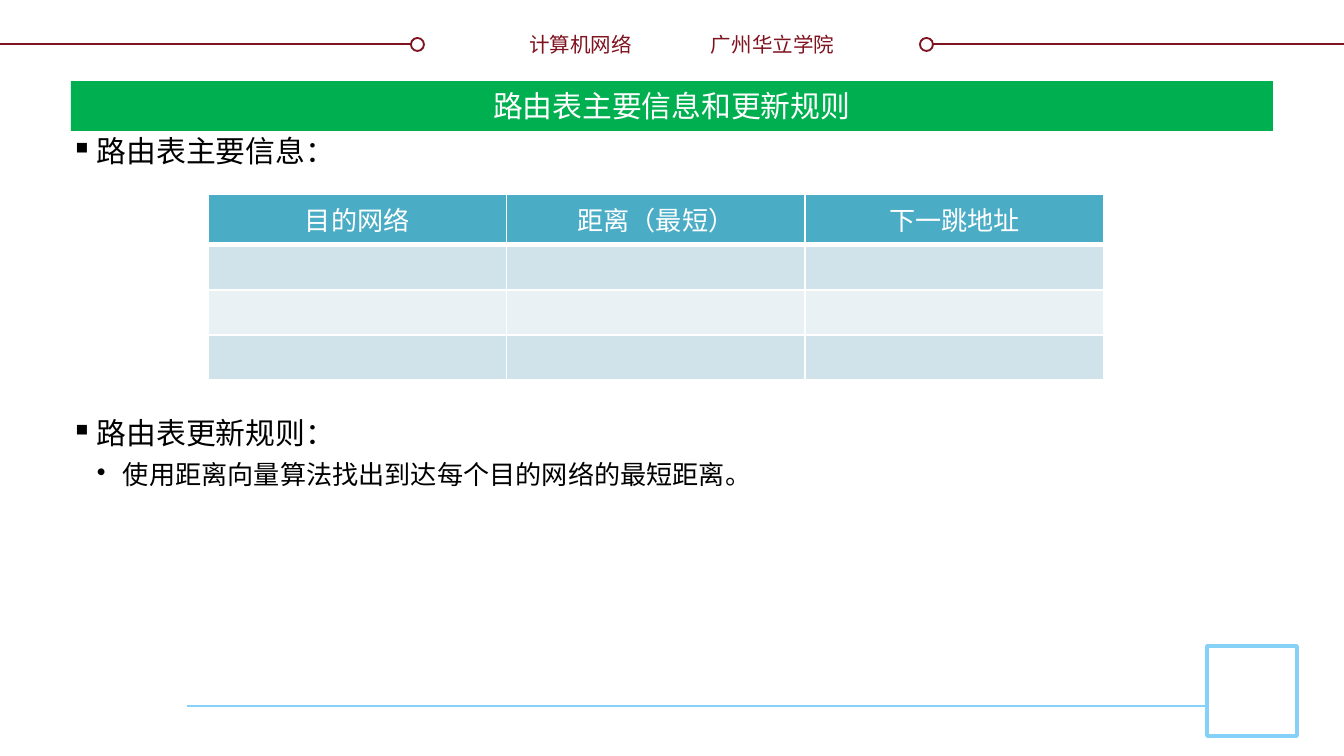
from lxml import etree
from pptx import Presentation
from pptx.dml.color import RGBColor
from pptx.enum.shapes import MSO_CONNECTOR, MSO_SHAPE
from pptx.enum.text import MSO_ANCHOR, PP_ALIGN
from pptx.oxml.ns import qn
from pptx.util import Emu, Pt

STRAIGHT = MSO_CONNECTOR.STRAIGHT
OVAL, RECTANGLE = MSO_SHAPE.OVAL, MSO_SHAPE.RECTANGLE
LEFT, CENTER, RIGHT = PP_ALIGN.LEFT, PP_ALIGN.CENTER, PP_ALIGN.RIGHT
JUSTIFY = PP_ALIGN.JUSTIFY
TOP, MIDDLE = MSO_ANCHOR.TOP, MSO_ANCHOR.MIDDLE

WIDTH, HEIGHT = 1344, 756
EMU_PER_PX = 914400 / 134.4
MONTSERRAT, NOTO = "Montserrat", "Noto Sans CJK SC"
WHITE, BLACK, MAROON, SKY = "FFFFFF", "000000", "7F131F", "85D1F7"
GREEN, TEAL, BANDS = "00B050", "4BACC6", ("D0E3EA", "E9F1F5")


def px(value):
    return Emu(round(value * EMU_PER_PX))


def color(value):
    return RGBColor.from_string(value)


def add_line(slide, x1, y1, x2, y2, line, points):
    connector = slide.shapes.add_connector(STRAIGHT, px(x1), px(y1), px(x2), px(y2))
    connector.line.color.rgb = color(line)
    connector.line.width = Pt(points)
    etree.SubElement(connector._element.spPr, qn("a:effectLst"))


def add_shape(slide, kind, box, fill, line=None, points=1):
    shape = slide.shapes.add_shape(kind, *map(px, box))
    shape.shadow.inherit = False
    shape.fill.solid()
    shape.fill.fore_color.rgb = color(fill)
    if line:
        shape.line.color.rgb = color(line)
        shape.line.width = Pt(points)
    else:
        shape.line.fill.background()
    return shape


def write(paragraph, text, size, font, ink, align):
    paragraph.text = text
    paragraph.alignment = align
    paragraph.font.size = Pt(size)
    paragraph.font.name = font
    paragraph.font.color.rgb = color(ink)


def add_text_frame(slide, box, anchor=TOP):
    frame = slide.shapes.add_textbox(*map(px, box)).text_frame
    frame.word_wrap = True
    frame.vertical_anchor = anchor
    frame.margin_left = frame.margin_right = 0
    frame.margin_top = frame.margin_bottom = px(5)
    return frame


def add_header(slide, box):
    left, top, width, height = box
    middle, reach, ring = top + height // 2, 424, 13
    right = left + width
    # Mirrored rules ending in rings
    for edge, end, ring_left in ((left, left + reach, left + reach - ring),
                                 (right, right - reach, right - reach)):
        add_line(slide, edge, middle, end, middle, MAROON, 1)
        add_shape(slide, OVAL, (ring_left, middle - ring // 2, ring, ring),
                  WHITE, MAROON)
    # Course and school
    for text, text_left, align in (("计算机网络", 482, RIGHT), ("广州华立学院", 711, LEFT)):
        frame = add_text_frame(slide, (left + text_left, top, 150, height), MIDDLE)
        write(frame.paragraphs[0], text, 11, NOTO, MAROON, align)


def add_title(slide, box, text):
    frame = add_shape(slide, RECTANGLE, box, GREEN).text_frame
    frame.vertical_anchor = MIDDLE
    frame.margin_top = frame.margin_bottom = 0
    write(frame.paragraphs[0], text, 16, MONTSERRAT, WHITE, CENTER)


def add_bullets(slide, box, items):
    frame = add_text_frame(slide, box)
    indent = px(26)
    for index, (level, text) in enumerate(items):
        paragraph = frame.paragraphs[0] if index == 0 else frame.add_paragraph()
        paragraph.level = level
        paragraph.line_spacing = 0.9
        paragraph.space_after = Pt(6)
        properties = paragraph._p.get_or_add_pPr()
        properties.set("marL", str(indent * (level + 1)))
        properties.set("indent", str(-indent))
        bullet = etree.SubElement(properties, qn("a:buChar"))
        bullet.set("char", "▪•"[level])
        write(paragraph, text, 16 - 2 * level, MONTSERRAT, BLACK, JUSTIFY)


def set_borders(cell, bottom_points):
    properties = cell._tc.get_or_add_tcPr()
    sides = (("a:lnL", 1), ("a:lnR", 1), ("a:lnT", 1), ("a:lnB", bottom_points))
    for index, (side, points) in enumerate(sides):
        line = etree.Element(qn(side), w=str(Pt(points)))
        fill = etree.SubElement(line, qn("a:solidFill"))
        etree.SubElement(fill, qn("a:srgbClr"), val=WHITE)
        properties.insert(index, line)


def add_routing_table(slide, box, headings, body_rows):
    left, top, width, height = box
    header_height = 51
    table = slide.shapes.add_table(body_rows + 1, len(headings),
                                   *map(px, box)).table
    for column in table.columns:
        column.width = px(width / len(headings))
    for index, row in enumerate(table.rows):
        row.height = px((height - header_height) / body_rows if index else header_height)
        for cell, heading in zip(row.cells, headings):
            cell.margin_top = cell.margin_bottom = 0
            cell.vertical_anchor = MIDDLE
            cell.fill.solid()
            cell.fill.fore_color.rgb = color(BANDS[(index - 1) % 2] if index else TEAL)
            set_borders(cell, 1 if index else 3)
            if index == 0:
                write(cell.text_frame.paragraphs[0], heading, 14,
                      MONTSERRAT, WHITE, CENTER)


def add_footer(slide, box):
    left, top, width, height = box
    square_left = left + width - height
    add_line(slide, left, top + 60, square_left, top + 60, SKY, 1.5)
    add_shape(slide, RECTANGLE, (square_left, top, height, height), WHITE, SKY, 2)


def main():
    presentation = Presentation()
    presentation.slide_width, presentation.slide_height = px(WIDTH), px(HEIGHT)
    slide = presentation.slides.add_slide(presentation.slide_layouts[6])
    add_header(slide, (0, 24, WIDTH, 40))
    add_footer(slide, (187, 646, 1110, 90))
    add_title(slide, (71, 81, 1202, 50), "路由表主要信息和更新规则")
    add_bullets(slide, (71, 132, 1202, 56), [(0, "路由表主要信息：")])
    add_bullets(slide, (71, 414, 1202, 100), [
        (0, "路由表更新规则："),
        (1, "使用距离向量算法找出到达每个目的网络的最短距离。"),
    ])
    add_routing_table(slide, (208, 194, 896, 186),
                      ("目的网络", "距离（最短）", "下一跳地址"), 3)
    presentation.save("out.pptx")


if __name__ == "__main__":
    main()
